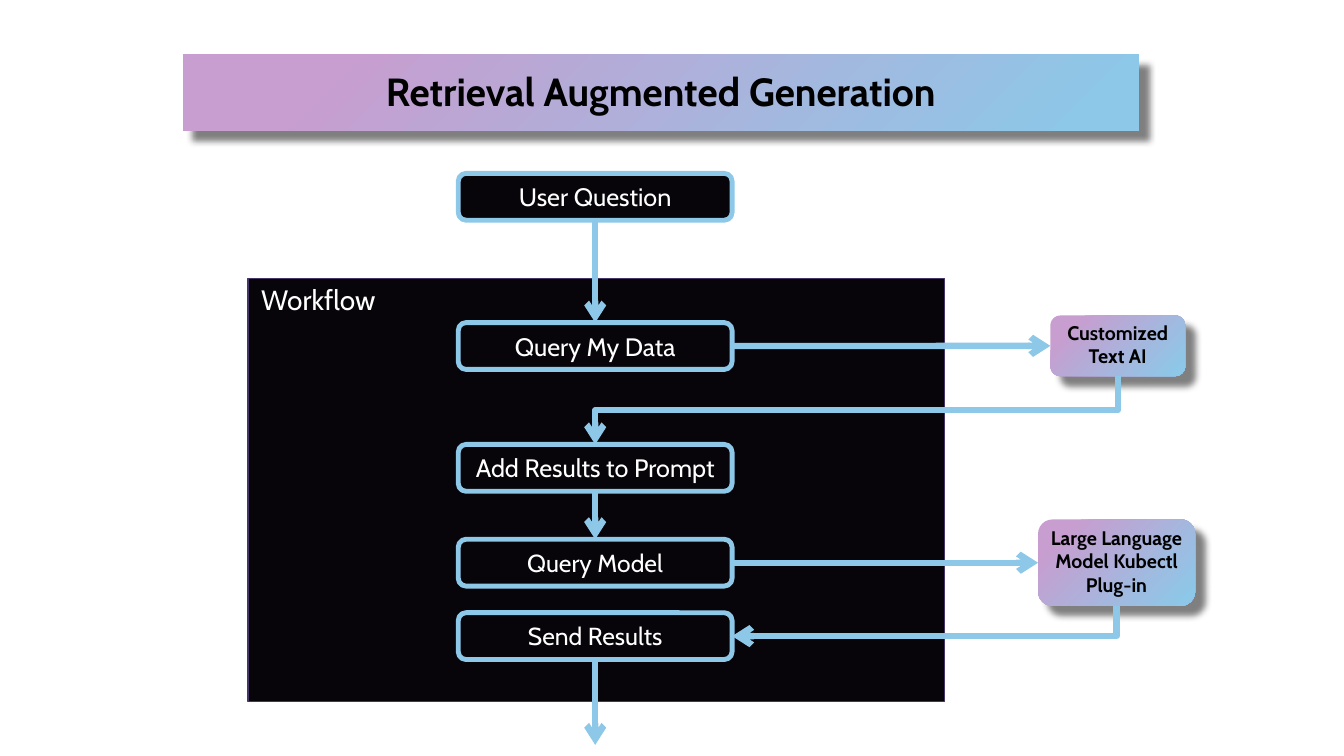
from lxml import etree
from pptx import Presentation
from pptx.dml.color import RGBColor
from pptx.enum.shapes import MSO_CONNECTOR as LINK, MSO_SHAPE as FORM
from pptx.enum.text import MSO_ANCHOR as ANCHOR, PP_ALIGN as ALIGN
from pptx.oxml import parse_xml
from pptx.oxml.ns import nsdecls, qn
from pptx.util import Cm, Pt

BLACK = RGBColor(0, 0, 0)
WHITE = RGBColor(255, 255, 255)
INK = RGBColor(0x07, 0x05, 0x0A)
PLUM = RGBColor(0x46, 0x36, 0x68)
SKY = RGBColor(0x8D, 0xC8, 0xE8)
PINK = RGBColor(0xC8, 0x9D, 0xCF)

TOP, LEFT, BOTTOM, RIGHT = range(4)
BOX_W, BOX_H = 6.9, 1.18
STEPS = [  # label, size, top
    ("User Question", 18, 0),
    ("Query My Data", 18, 3.76),
    ("Add Results to Prompt", 18, 6.83),
    ("Query Model", 17.6, 9.22),
    ("Send Results", 17.6, 11.07),
]
TIGHT = {"margin_left": 0, "margin_right": 0,
         "margin_top": Cm(0.05), "margin_bottom": Cm(0.13)}
BARE = dict.fromkeys(TIGHT, 0)


def assign(item, values):
    for name, value in values.items():
        setattr(item, name, value)


def write(shape, text, size, color, align=ALIGN.CENTER,
          anchor=ANCHOR.MIDDLE, bold=False, margins=None):
    frame = shape.text_frame
    assign(frame, {"word_wrap": True, "vertical_anchor": anchor,
                   **(margins or {})})
    frame.text = text
    para = frame.paragraphs[0]
    para.alignment = align
    assign(para.font, {"name": "Cabin", "size": Pt(size), "bold": bold})
    para.font.color.rgb = color


def glow(shape):
    """Add the pink to blue blend and the soft shadow."""
    shape.line.fill.background()
    props = shape.element.spPr
    for old in props.findall(qn("a:effectLst")):
        props.remove(old)
    blend = parse_xml(
        f'<a:gradFill {nsdecls("a")} rotWithShape="1"><a:gsLst>'
        f'<a:gs pos="6000"><a:srgbClr val="{SKY}"/></a:gs>'
        f'<a:gs pos="85000"><a:srgbClr val="{PINK}"/></a:gs></a:gsLst>'
        '<a:path path="circle"><a:fillToRect l="100000" t="100000"/>'
        '</a:path></a:gradFill>')
    props.find(qn("a:ln")).addprevious(blend)
    props.append(parse_xml(
        f'<a:effectLst {nsdecls("a")}><a:outerShdw blurRad="{Pt(5)}" '
        f'dist="{Pt(10)}" dir="2700000" algn="tl" rotWithShape="0">'
        f'<a:srgbClr val="{BLACK}"><a:alpha val="50000"/></a:srgbClr>'
        '</a:outerShdw></a:effectLst>'))


def plate(slide, form, box, edge, width):
    shape = slide.shapes.add_shape(form, *map(Cm, box))
    shape.shadow.inherit = False
    shape.fill.solid()
    shape.fill.fore_color.rgb = INK
    shape.line.color.rgb = edge
    shape.line.width = Pt(width)
    return shape


def banner(slide, box):
    title = slide.shapes.title
    assign(title, dict(zip(("left", "top", "width", "height"), map(Cm, box))))
    write(title, "Retrieval Augmented Generation", 28, BLACK,
          bold=True, margins=TIGHT)
    glow(title)


def panel(slide, box):
    plate(slide, FORM.RECTANGLE, box, PLUM, 0.85)
    x, y = box[:2]
    label = slide.shapes.add_textbox(Cm(x + 0.33), Cm(y + 0.1), Cm(5.18), Cm(1.7))
    write(label, "Workflow", 20, WHITE, ALIGN.LEFT, ANCHOR.TOP, margins=BARE)


def column(slide, x, y):
    boxes = []
    for text, size, drop in STEPS:
        box = plate(slide, FORM.ROUNDED_RECTANGLE,
                    (x, y + drop, BOX_W, BOX_H), SKY, 3.5)
        write(box, text, size, WHITE)
        boxes.append(box)
    return boxes


def helper(slide, text, box):
    shape = slide.shapes.add_shape(FORM.ROUNDED_RECTANGLE, *map(Cm, box))
    write(shape, text, 14, BLACK, bold=True, margins=TIGHT)
    glow(shape)
    return shape


def arrow(slide, kind, start, side, stop=None, into=TOP, end=(0, 0)):
    """Link two shapes, or a shape and the free point given as end."""
    link = slide.shapes.add_connector(kind, 0, 0, *end)
    link.begin_connect(start, side)
    if stop is not None:
        link.end_connect(stop, into)
    link.line.color.rgb = SKY
    link.line.width = Pt(4.5)
    props = link.element.spPr
    etree.SubElement(props.find(qn("a:ln")), qn("a:tailEnd"), type="arrow")
    etree.SubElement(props, qn("a:effectLst"))
    return link


def elbow(slide, start, stop, into, preset):
    """Leave the bottom of start, then turn left towards stop."""
    link = arrow(slide, LINK.ELBOW, start, BOTTOM, stop, into)
    across = link.begin_x - link.end_x
    down = link.end_y - link.begin_y
    mid_x = (link.begin_x + link.end_x) // 2
    mid_y = (link.begin_y + link.end_y) // 2
    assign(link, {"left": mid_x - down // 2, "top": mid_y - across // 2,
                  "width": down, "height": across})
    props = link.element.spPr
    frame = props.find(qn("a:xfrm"))
    frame.attrib.pop("flipH", None)
    frame.set("rot", "5400000")
    props.find(qn("a:prstGeom")).set("prst", preset)


def links(slide, steps, data, model):
    ask, query, add, call, send = steps
    for start, side, stop, into in [
        (ask, BOTTOM, query, TOP),
        (query, RIGHT, data, LEFT),
        (add, BOTTOM, call, TOP),
        (call, RIGHT, model, LEFT),
    ]:
        arrow(slide, LINK.STRAIGHT, start, side, stop, into)
    elbow(slide, data, add, TOP, "bentConnector3")
    elbow(slide, model, send, RIGHT, "bentConnector2")
    exit_x = send.left + send.width // 2
    arrow(slide, LINK.STRAIGHT, send, BOTTOM, end=(exit_x, Cm(18.77)))


def main():
    deck = Presentation()
    assign(deck, {"slide_width": Cm(33.87), "slide_height": Cm(19.05)})
    slide = deck.slides.add_slide(deck.slide_layouts.get_by_name("Title Only"))
    banner(slide, (4.6, 1.37, 24.1, 1.93))
    panel(slide, (6.25, 7.01, 17.55, 10.67))
    steps = column(slide, 11.55, 4.37)
    data = helper(slide, "Customized Text AI", (26.47, 7.95, 3.4, 1.53))
    model = helper(slide, "Large Language Model Kubectl Plug-in",
                   (26.16, 13.09, 3.96, 2.18))
    links(slide, steps, data, model)
    deck.save("out.pptx")


if __name__ == "__main__":
    main()
